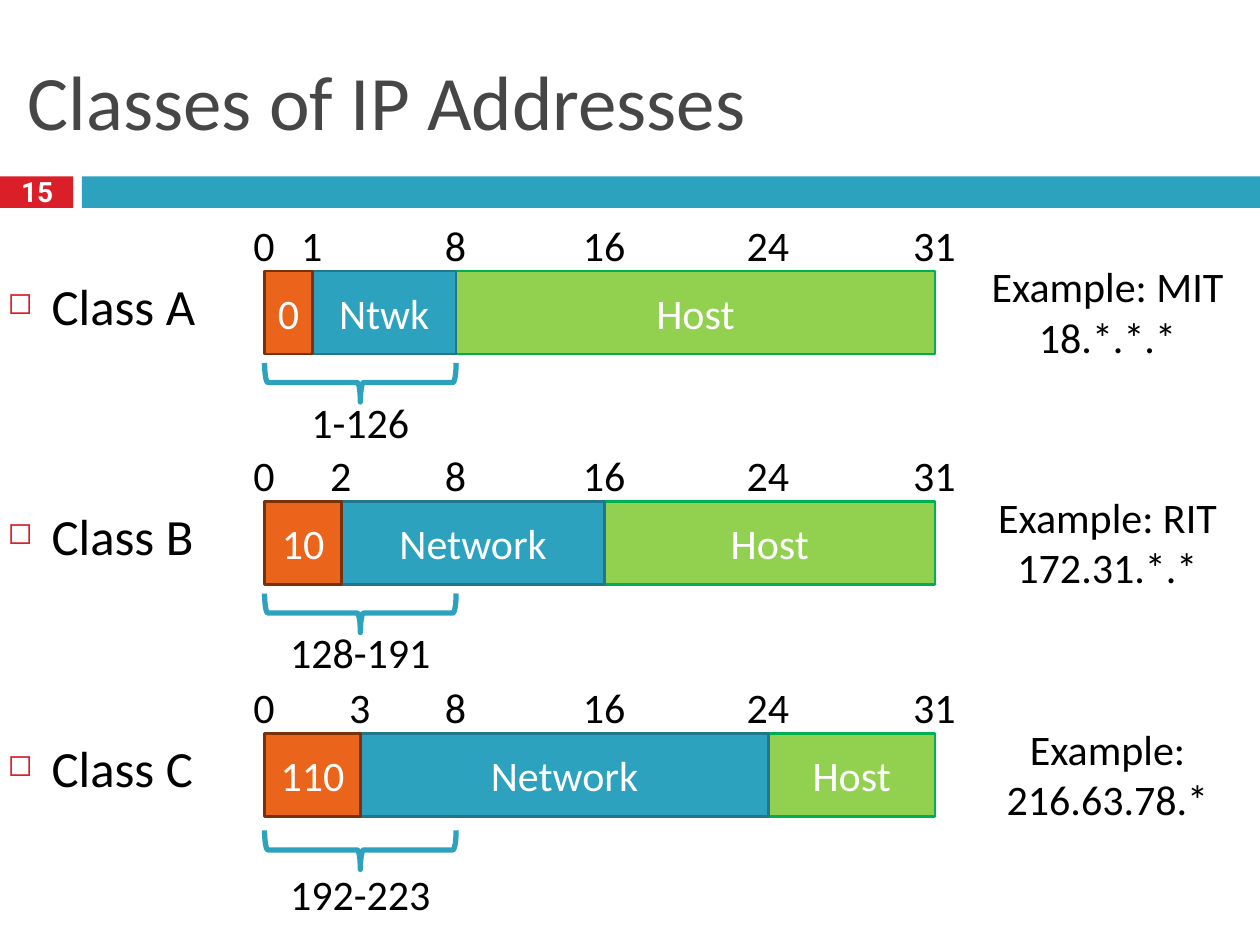
from dataclasses import dataclass

from lxml.etree import SubElement
from pptx import Presentation
from pptx.dml.color import RGBColor
from pptx.enum.shapes import MSO_SHAPE
from pptx.enum.text import MSO_ANCHOR, MSO_AUTO_SIZE, PP_ALIGN
from pptx.oxml.ns import qn
from pptx.util import Inches, Pt

BLACK, WHITE, GRAY = "000000", "FFFFFF", "464646"
RED, TEAL = "DA1F28", "2DA2BF"
PREFIX_COLORS = ("EB641B", "78310B")
NETWORK_COLORS = (TEAL, "21768B")
HOST_COLORS = ("92D050", "00B050")

# Horizontal place of each marked bit, shared by ruler labels and bar segments
BIT_X = {0: 2.1, 1: 2.48, 2: 2.71, 3: 2.86, 8: 3.62, 16: 4.8, 24: 6.1, 31: 7.42}
BAR_HEIGHT = 0.66
BRACE_DEPTH = 0.31
LABEL_HEIGHT = 0.48
EXAMPLE_CENTER = 8.79


@dataclass
class AddressClass:
    name: str
    bar_top: float
    prefix: str
    prefix_end: int
    network: str
    network_end: int
    first_octet: str
    brace_top: float
    octet_top: float
    example: str


ADDRESS_CLASSES = [
    AddressClass("Class A", 2.15, "0", 1, "Ntwk", 8, "1-126", 2.88, 3.1,
                 "Example: MIT\n18.*.*.*"),
    AddressClass("Class B", 3.98, "10", 2, "Network", 16, "128-191", 4.71, 4.92,
                 "Example: RIT\n172.31.*.*"),
    AddressClass("Class C", 5.82, "110", 3, "Network", 24, "192-223", 6.59, 6.84,
                 "Example:\n216.63.78.*"),
]


def rgb(color: str) -> RGBColor:
    return RGBColor.from_string(color)


def write_text(shape, text: str, size: float, color: str, font: str = "Calibri",
               bold: bool = False, align=PP_ALIGN.CENTER,
               anchor=MSO_ANCHOR.MIDDLE, wrap: bool = True) -> None:
    frame = shape.text_frame
    frame.text = text
    margins = {f"margin_{side}": Inches(0.05)
               for side in ("left", "top", "right", "bottom")}
    frame_format = {**margins, "word_wrap": wrap, "vertical_anchor": anchor,
                    "auto_size": MSO_AUTO_SIZE.NONE}
    for name, value in frame_format.items():
        setattr(frame, name, value)
    font_format = {"name": font, "size": Pt(size), "bold": bold}
    for paragraph in frame.paragraphs:
        paragraph.alignment = align
        for run in paragraph.runs:
            for name, value in font_format.items():
                setattr(run.font, name, value)
            run.font.color.rgb = rgb(color)


def add_text(slide, left: float, top: float, width: float, height: float,
             text: str, size: float = 24, color: str = BLACK, **text_format):
    box = slide.shapes.add_textbox(
        Inches(left), Inches(top), Inches(width), Inches(height))
    write_text(box, text, size, color, **text_format)
    return box


def add_rectangle(slide, left: float, top: float, width: float, height: float,
                  fill: str, line: str | None = None):
    rectangle = slide.shapes.add_shape(
        MSO_SHAPE.RECTANGLE, Inches(left), Inches(top), Inches(width), Inches(height))
    rectangle.shadow.inherit = False
    rectangle.fill.solid()
    rectangle.fill.fore_color.rgb = rgb(fill)
    if line:
        rectangle.line.color.rgb = rgb(line)
        rectangle.line.width = Pt(1.5)
    else:
        rectangle.line.fill.background()
    return rectangle


def add_bullet(paragraph) -> None:
    """Put a small hollow red square before the paragraph."""
    properties = paragraph._p.get_or_add_pPr()
    properties.set("marL", str(Inches(0.35)))
    properties.set("indent", str(-Inches(0.35)))
    bullet_color = SubElement(properties, qn("a:buClr"))
    SubElement(bullet_color, qn("a:srgbClr"), val=RED)
    SubElement(properties, qn("a:buSzPct"), val="60000")
    SubElement(properties, qn("a:buChar"), char="◻")


def add_brace(slide, left: float, right: float, top: float) -> None:
    """Draw a brace that opens upward, from a left brace turned by 270 degrees."""
    span = right - left
    brace = slide.shapes.add_shape(
        MSO_SHAPE.LEFT_BRACE,
        Inches((left + right - BRACE_DEPTH) / 2),
        Inches(top + (BRACE_DEPTH - span) / 2),
        Inches(BRACE_DEPTH), Inches(span))
    brace.rotation = 270
    brace.shadow.inherit = False
    brace.fill.background()
    brace.line.color.rgb = rgb(TEAL)
    brace.line.width = Pt(3)


def add_address_class(slide, row: AddressClass) -> None:
    label = add_text(slide, 0.01, row.bar_top - 0.02, 2.02, 0.59, row.name, 29,
                     align=PP_ALIGN.LEFT, anchor=MSO_ANCHOR.TOP)
    add_bullet(label.text_frame.paragraphs[0])

    segments = [
        (row.network_end, 31, "Host", HOST_COLORS),
        (row.prefix_end, row.network_end, row.network, NETWORK_COLORS),
        (0, row.prefix_end, row.prefix, PREFIX_COLORS),
    ]
    for start, end, text, (fill, line) in segments:
        segment = add_rectangle(slide, BIT_X[start], row.bar_top,
                                BIT_X[end] - BIT_X[start], BAR_HEIGHT, fill, line)
        write_text(segment, text, 24, WHITE)

    for bit in (0, row.prefix_end, 8, 16, 24, 31):
        add_text(slide, BIT_X[bit] - 0.33, row.bar_top - 0.45, 0.65,
                 LABEL_HEIGHT, str(bit))

    add_brace(slide, BIT_X[0], BIT_X[8], row.brace_top)
    brace_center = (BIT_X[0] + BIT_X[8]) / 2
    add_text(slide, brace_center - 0.67, row.octet_top, 1.34, LABEL_HEIGHT,
             row.first_octet, anchor=MSO_ANCHOR.TOP, wrap=False)
    add_text(slide, EXAMPLE_CENTER - 1, row.bar_top - 0.13, 2, 0.85,
             row.example, anchor=MSO_ANCHOR.TOP, wrap=False)


def main() -> None:
    presentation = Presentation()
    presentation.slide_width = Inches(10)
    presentation.slide_height = Inches(7.5)
    slide = presentation.slides.add_slide(presentation.slide_layouts[5])

    title = slide.shapes.title
    title_place = {"left": 0.17, "top": 0.25, "width": 9.67, "height": 1.08}
    for name, value in title_place.items():
        setattr(title, name, Inches(value))
    write_text(title, "Classes of IP Addresses", 44, GRAY, align=PP_ALIGN.LEFT)

    add_rectangle(slide, 0, 1.4, 0.58, 0.25, RED)
    add_rectangle(slide, 0.65, 1.4, 9.35, 0.25, TEAL)
    number = add_text(slide, 0.12, 1.37, 0.35, 0.35, "15", 16, WHITE,
                      font="Roboto", bold=True, wrap=False)
    number.text_frame.paragraphs[0].line_spacing = 0.8

    for row in ADDRESS_CLASSES:
        add_address_class(slide, row)
    presentation.save("out.pptx")


if __name__ == "__main__":
    main()
